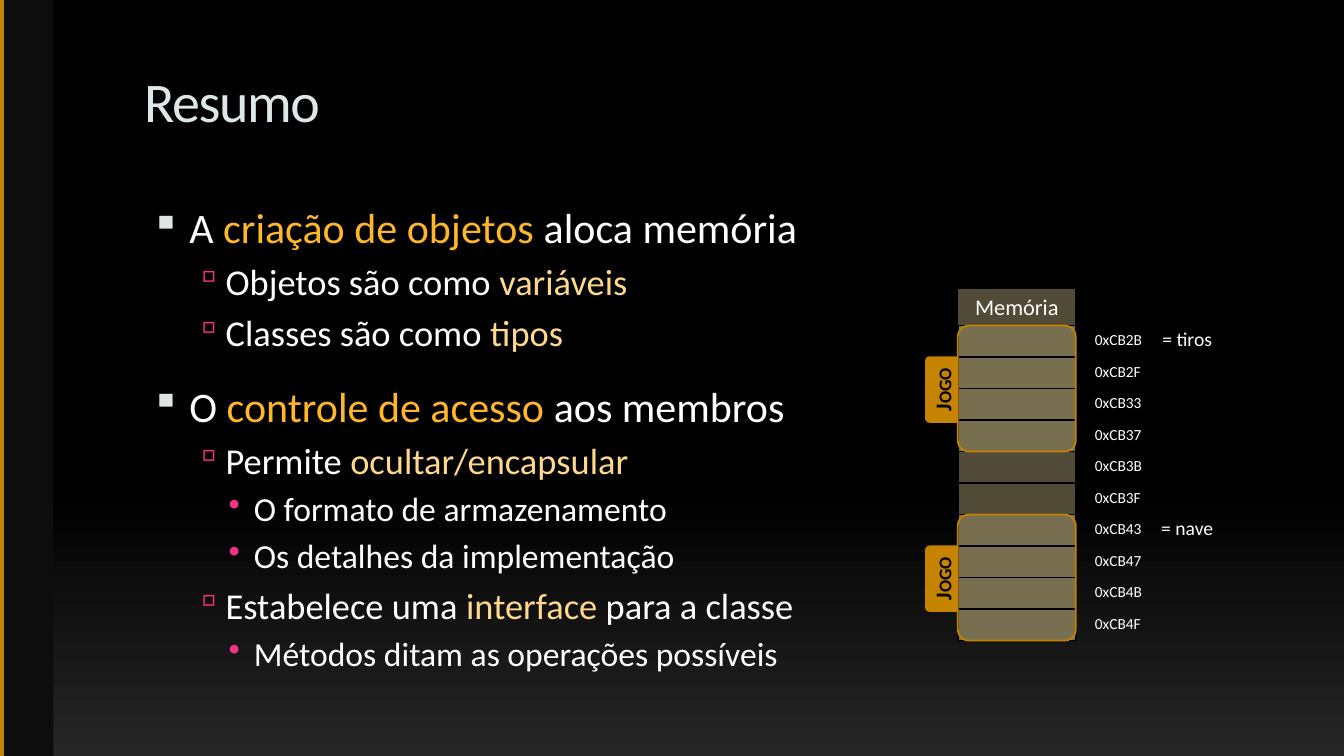
from lxml import etree
from pptx import Presentation
from pptx import util as u
from pptx.dml.color import RGBColor
from pptx.enum import shapes, text
from pptx.oxml.ns import qn

HEX = {
    "black": "000000", "dark": "262626", "side": "0D0D0D", "gold": "C58300",
    "title": "DDE6E8", "white": "FFFFFF", "amber": "FFB728", "sand": "FFD88B",
    "mark": "E0E4E5", "pink": "F03288", "free": "504A36", "used": "786F51",
}
# Per level: size, margin, indent, space before, bullet, bullet colour, bullet %
LEVELS = [
    (30, 0.45, -0.38, 7, "▪", "mark", 95),
    (26, 0.81, -0.31, 5.2, "▫", "pink", 90),
    (24, 1.09, -0.25, 4.8, "•", "pink", 100),
]
# Level, space after, (text, colour) pairs
POINTS = [
    (0, 0, [("A ", "white"), ("criação de objetos ", "amber"), ("aloca memória", "white")]),
    (1, 0, [("Objetos são como ", "white"), ("variáveis", "sand")]),
    (1, 12, [("Classes são como ", "white"), ("tipos", "sand")]),
    (0, 0, [("O ", "white"), ("controle de acesso ", "amber"), ("aos membros", "white")]),
    (1, 0, [("Permite ", "white"), ("ocultar/encapsular", "sand")]),
    (2, 0, [("O formato de armazenamento", "white")]),
    (2, 0, [("Os detalhes da implementação", "white")]),
    (1, 0, [("Estabelece uma ", "white"), ("interface ", "sand"), ("para a classe", "white")]),
    (2, 0, [("Métodos ditam as operações possíveis", "white")]),
]
GAMES = {0: "tiros", 6: "nave"}  # first memory row of each object
SPAN = 4                         # rows taken by an object
LEFT, TOP, WIDE, ROW = 9.5, 3.23, 1.17, 1.25 / SPAN


def rgb(name):
    return RGBColor.from_string(HEX[name])


def write(para, words, size=16, color="white", bold=False, **attrs):
    """Add a run; extra keywords become run attributes in the XML."""
    run = para.add_run()
    run.text = words
    font = run.font
    font.name, font.size, font.bold = "Calibri", u.Pt(size), bold
    font.color.rgb = rgb(color)
    for key, value in attrs.items():
        run._r.get_or_add_rPr().set(key, value)


class Deck:
    def __init__(self):
        self.prs = Presentation()
        self.prs.slide_width, self.prs.slide_height = u.Inches(13.33), u.Inches(7.5)
        self.slide = self.prs.slides.add_slide(self.prs.slide_layouts[6])

    def backdrop(self):
        fill = self.slide.background.fill
        fill.gradient()
        fill.gradient_angle = 270
        for stop, name, pos in zip(fill.gradient_stops, ("black", "dark"), (0.65, 1)):
            stop.color.rgb, stop.position = rgb(name), pos

    def line(self, start, end, color, width):
        ends = [u.Inches(n) for n in start + end]
        link = self.slide.shapes.add_connector(shapes.MSO_CONNECTOR.STRAIGHT, *ends)
        link.line.color.rgb, link.line.width = rgb(color), u.Pt(width)
        etree.SubElement(link._element.spPr, qn("a:effectLst"))

    def shape(self, kind, box, fill=None, edge=None, width=1.25, adj=()):
        item = self.slide.shapes.add_shape(
            getattr(shapes.MSO_SHAPE, kind), *[u.Inches(n) for n in box])
        item.shadow.inherit = False
        for i, value in enumerate(adj):
            item.adjustments[i] = value
        if fill:
            item.fill.solid()
            item.fill.fore_color.rgb = rgb(fill)
        else:
            item.fill.background()
        if edge:
            item.line.color.rgb, item.line.width = rgb(edge), u.Pt(width)
        else:
            item.line.fill.background()
        return item

    def label(self, box, words="", align="LEFT", anchor="TOP", **style):
        item = self.slide.shapes.add_textbox(*[u.Inches(n) for n in box])
        frame = item.text_frame
        frame.word_wrap = True
        frame.vertical_anchor = getattr(text.MSO_ANCHOR, anchor)
        para = frame.paragraphs[0]
        para.alignment = getattr(text.PP_ALIGN, align)
        if words:
            write(para, words, **style)
        return frame

    def points(self, box, items):
        frame = self.label(box)
        for i, (level, after, runs) in enumerate(items):
            para = frame.add_paragraph() if i else frame.paragraphs[0]
            size, margin, indent, before, char, color, scale = LEVELS[level]
            para.level = level
            para.space_before, para.space_after = u.Pt(before), u.Pt(after)
            props = para._p.get_or_add_pPr()
            props.set("marL", str(u.Inches(margin)))
            props.set("indent", str(u.Inches(indent)))
            tint = etree.SubElement(props, qn("a:buClr"))
            etree.SubElement(tint, qn("a:srgbClr"), val=HEX[color])
            etree.SubElement(props, qn("a:buSzPct"), val=str(scale * 1000))
            etree.SubElement(props, qn("a:buChar"), char=char)
            for words, shade in runs:
                write(para, words, size=size, color=shade)

    def tab(self, top):
        """Side tab that reads upwards."""
        item = self.shape("ROUND_2_SAME_RECTANGLE", (9.01, top, 0.66, 0.33),
                          "gold", adj=(0.136, 0))
        item.rotation = 270
        frame = item.text_frame
        frame.margin_left = frame.margin_right = frame.margin_top = frame.margin_bottom = 0
        write(frame.paragraphs[0], "Jogo", color="black", bold=True, cap="small")

    def memory(self):
        tops = [TOP + i * ROW for i in range(10)]
        for first in GAMES:
            self.tab(tops[first] + 0.47)
        head = self.shape("RECTANGLE", (LEFT, 2.86, WIDE, 0.37), "free", "black", 0.75)
        write(head.text_frame.paragraphs[0], "Memória")
        for i, top in enumerate(tops):
            used = any(first <= i < first + SPAN for first in GAMES)
            self.shape("RECTANGLE", (LEFT, top, WIDE, ROW), "used" if used else "free", "black")
            self.label((10.76, top, 0.71, 0.29), f"0x{0xCB2B + 4 * i:X}", size=11)
        for first, name in GAMES.items():
            self.label((11.35, tops[first] - 0.04, 0.85, 0.34), f"= {name}", "CENTER", size=14)
            self.shape("ROUNDED_RECTANGLE", (LEFT, tops[first], WIDE, SPAN * ROW),
                       edge="gold", adj=(0.094,))


def main():
    deck = Deck()
    deck.backdrop()
    deck.shape("RECTANGLE", (0, 0, 0.53, 7.5), "side")
    deck.line((0.02, 0), (0.02, 7.5), "gold", 3)
    title = deck.label((1.33, 0.56, 9.51, 1), "Resumo", anchor="MIDDLE",
                       size=40, color="title", spc="-100")
    title.paragraphs[0].line_spacing = 0.8
    deck.points((1.33, 1.95, 11.33, 5), POINTS)
    deck.memory()
    deck.prs.save("out.pptx")


if __name__ == "__main__":
    main()
